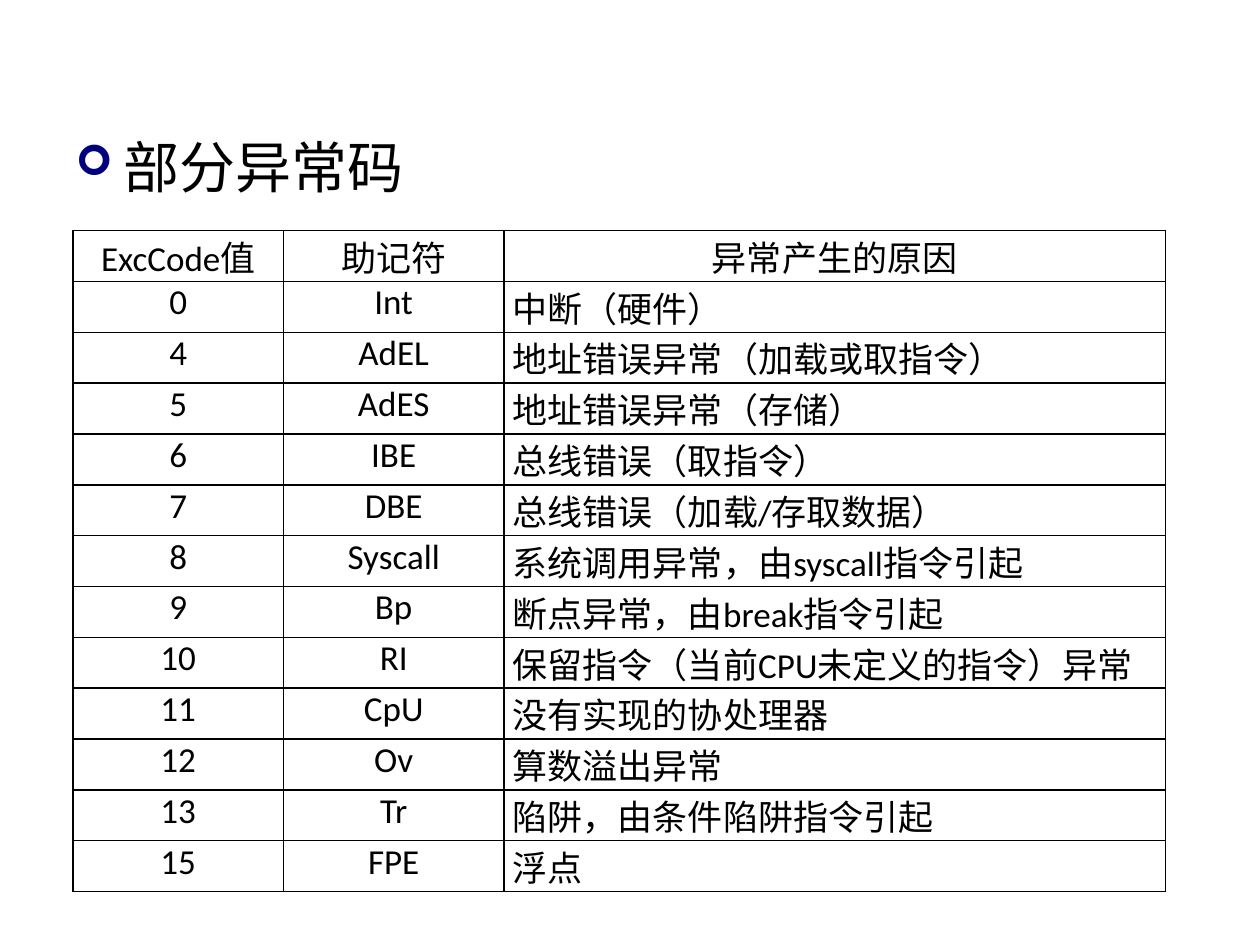
from dataclasses import dataclass
from lxml import etree
from pptx import Presentation
from pptx import util as u
from pptx.dml.color import RGBColor
from pptx.enum import text
from pptx.oxml import ns


@dataclass(frozen=True)
class Theme:
    ink: str = "000000"
    mark: str = "00007D"
    head: tuple = ("Cambria", 32)
    body: tuple = ("Calibri", 20)
    rule: float = 1


THEME = Theme()
WIDE, HIGH = 10, 7.5
COLS = (1.67, 1.75, 5.25)
ROW = 0.34
HEADS = ("ExcCode值", "助记符", "异常产生的原因")
CODES = (
    ("0", "Int", "中断（硬件）"),
    ("4", "AdEL", "地址错误异常（加载或取指令）"),
    ("5", "AdES", "地址错误异常（存储）"),
    ("6", "IBE", "总线错误（取指令）"),
    ("7", "DBE", "总线错误（加载/存取数据）"),
    ("8", "Syscall", "系统调用异常，由syscall指令引起"),
    ("9", "Bp", "断点异常，由break指令引起"),
    ("10", "RI", "保留指令（当前CPU未定义的指令）异常"),
    ("11", "CpU", "没有实现的协处理器"),
    ("12", "Ov", "算数溢出异常"),
    ("13", "Tr", "陷阱，由条件陷阱指令引起"),
    ("15", "FPE", "浮点"),
)


def apply(item, form):
    for name, value in form.items():
        setattr(item, name, value)


def node(base, tag, **attrs):
    return etree.SubElement(base, ns.qn("a:" + tag), attrs)


def write(para, words, face, align):
    para.alignment = align
    run = para.add_run()
    run.text = words
    name, size = face
    apply(run.font, {"name": name, "size": u.Pt(size), "bold": False})
    run.font.color.rgb = RGBColor.from_string(THEME.ink)


def bullet(para, sign, indent):
    props = para._p.get_or_add_pPr()
    props.set("marL", str(u.Inches(indent)))
    props.set("indent", str(-u.Inches(indent)))
    node(node(props, "spcBef"), "spcPct", val="20000")
    node(node(props, "buClr"), "srgbClr", val=THEME.mark)
    node(props, "buSzPct", val="75000")
    node(props, "buFont", typeface="Wingdings")
    node(props, "buChar", char=sign)


def heading(slide, words):
    title = slide.shapes.title
    apply(title, {"left": u.Inches(0.05 * WIDE), "top": u.Inches(1),
                  "width": u.Inches(0.9 * WIDE), "height": u.Inches(0.1 * HIGH)})
    frame = title.text_frame
    apply(frame, {"word_wrap": True, "auto_size": text.MSO_AUTO_SIZE.NONE,
                  "vertical_anchor": text.MSO_ANCHOR.TOP})
    para = frame.paragraphs[0]
    write(para, words, THEME.head, text.PP_ALIGN.LEFT)
    bullet(para, "➢", 0.38)


def border(cell):
    props = cell._tc.get_or_add_tcPr()
    for side in ("lnL", "lnR", "lnT", "lnB"):
        line = node(props, side, w=str(u.Pt(THEME.rule)))
        node(node(line, "solidFill"), "srgbClr", val=THEME.ink)


def fill(cell, words, align):
    apply(cell, {"margin_left": u.Inches(0.07), "margin_right": u.Inches(0.07),
                 "margin_top": 0, "margin_bottom": 0,
                 "vertical_anchor": text.MSO_ANCHOR.TOP})
    write(cell.text_frame.paragraphs[0], words, THEME.body, align)
    border(cell)
    cell.fill.background()


def grid(slide, rows, left, top):
    frame = slide.shapes.add_table(
        len(rows), len(COLS), u.Inches(left), u.Inches(top),
        u.Inches(sum(COLS)), u.Inches(ROW * len(rows)))
    table = frame.table
    apply(table, {"first_row": False, "horz_banding": False})
    for col, width in zip(table.columns, COLS):
        col.width = u.Inches(width)
    for r, row in enumerate(rows):
        table.rows[r].height = u.Inches(ROW)
        for c, words in enumerate(row):
            prose = r > 0 and c == len(COLS) - 1
            align = text.PP_ALIGN.LEFT if prose else text.PP_ALIGN.CENTER
            fill(table.cell(r, c), words, align)


def main():
    deck = Presentation()
    apply(deck, {"slide_width": u.Inches(WIDE), "slide_height": u.Inches(HIGH)})
    slide = deck.slides.add_slide(deck.slide_layouts[5])
    heading(slide, "部分异常码")
    grid(slide, (HEADS,) + CODES, 0.58, 1.83)
    deck.save("out.pptx")


main()
